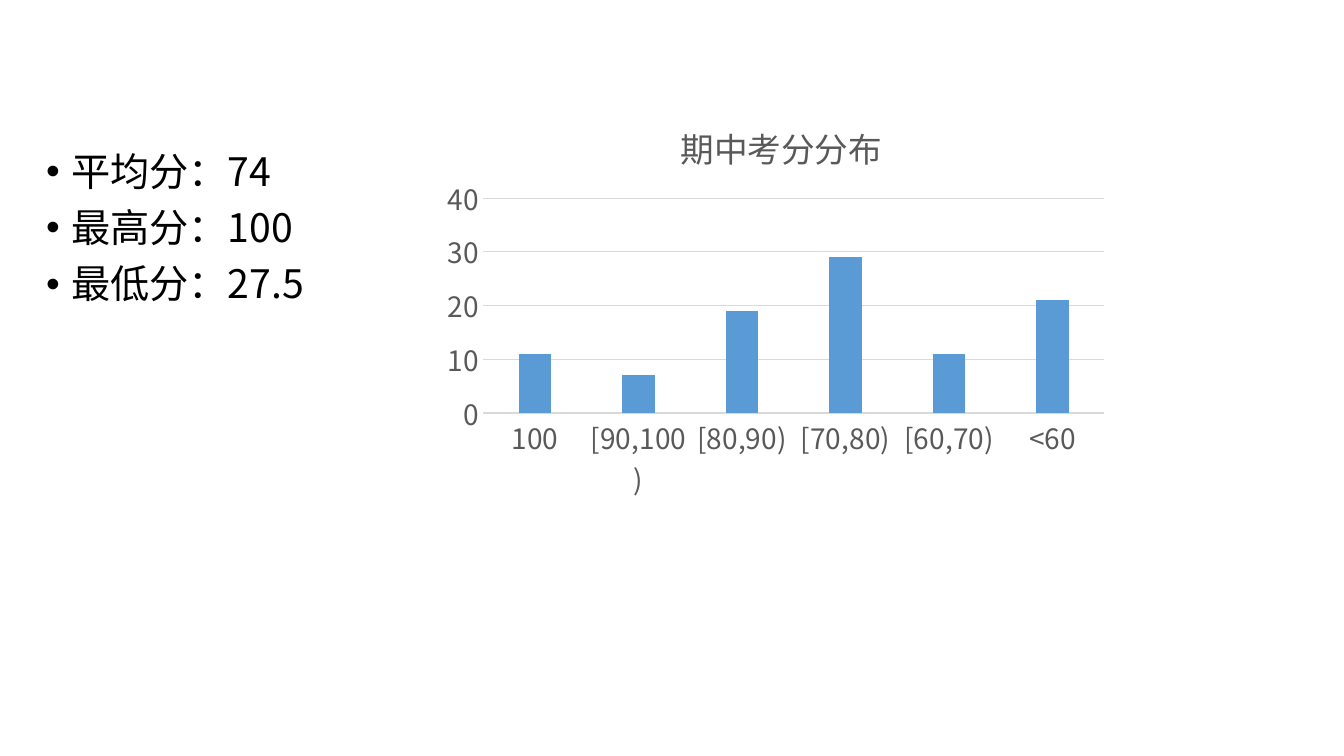
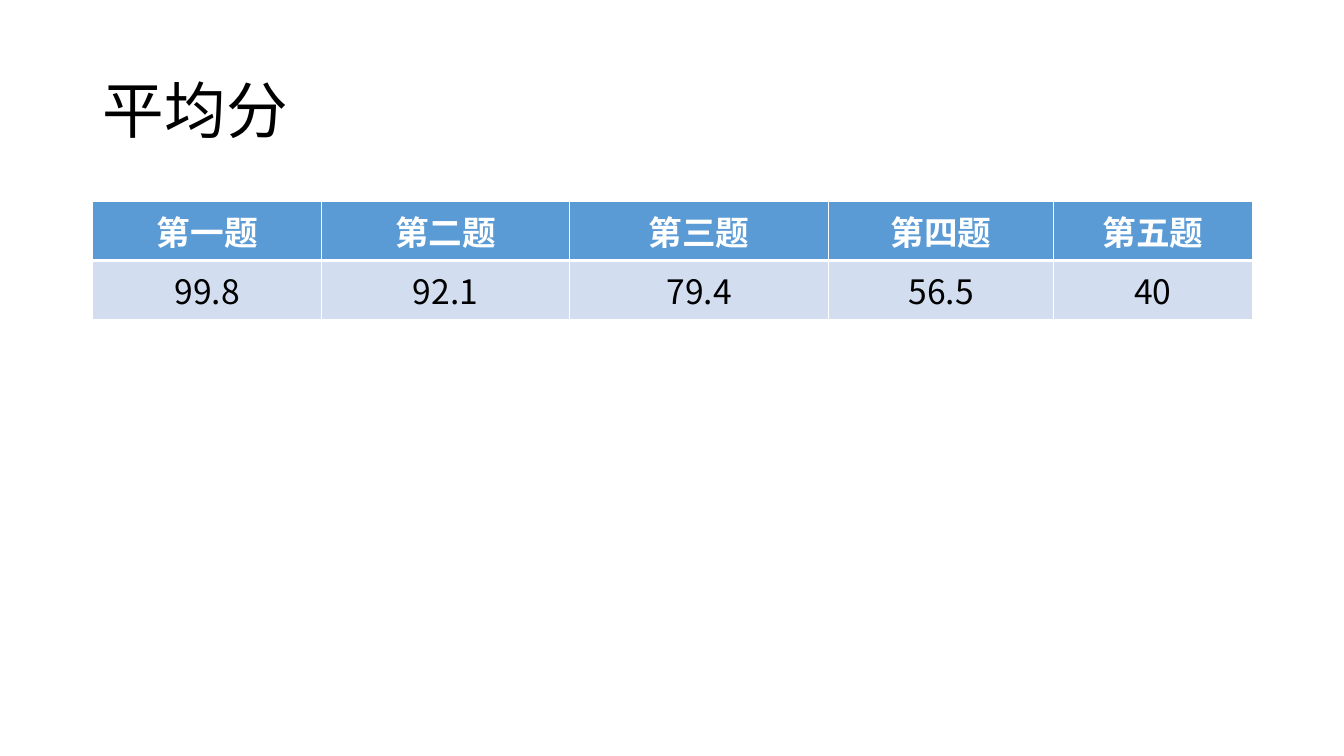
"""Build two slides on exam scores: a distribution chart and a table of averages."""
from typing import NamedTuple

from lxml.etree import SubElement
from pptx import Presentation
from pptx.chart.data import CategoryChartData
from pptx.dml.color import RGBColor
from pptx.enum.chart import XL_CHART_TYPE as ChartType, XL_TICK_MARK as Tick
from pptx.enum.text import MSO_ANCHOR as Anchor, PP_ALIGN as Align
from pptx.oxml import parse_xml
from pptx.oxml.ns import nsdecls, qn
from pptx.util import Inches, Pt

FONT = "Noto Sans CJK SC"
COLORS = {
    "text": "000000",
    "white": "FFFFFF",
    "accent": "5B9BD5",
    "band": "D2DEEF",
    "label": "595959",
    "grid": "D9D9D9",
}


class Question(NamedTuple):
    name: str
    average: str
    width: float


class ScoreBand(NamedTuple):
    label: str
    count: int


QUESTIONS = [
    Question("第一题", "99.8", 2.27),
    Question("第二题", "92.1", 2.46),
    Question("第三题", "79.4", 2.57),
    Question("第四题", "56.5", 2.23),
    Question("第五题", "40", 1.97),
]
BANDS = [
    ScoreBand("100", 11),
    ScoreBand("[90,100)", 7),
    ScoreBand("[80,90)", 19),
    ScoreBand("[70,80)", 29),
    ScoreBand("[60,70)", 11),
    ScoreBand("<60", 21),
]
SUMMARY = ["平均分：74", "最高分：100", "最低分：27.5"]


def rgb(name: str) -> RGBColor:
    return RGBColor.from_string(COLORS[name])


def style_font(font, size: float, color: str, bold: bool = False) -> None:
    font.name, font.size, font.bold = FONT, Pt(size), bold
    font.color.rgb = rgb(color)


def add_run(p, text: str, size: float, color: str, bold: bool = False) -> None:
    r = p.add_run()
    r.text = text
    style_font(r.font, size, color, bold)
    SubElement(r._r.get_or_add_rPr(), qn("a:ea"), typeface=FONT)


def place(sp, left: float, top: float, width: float, height: float) -> None:
    sp.left, sp.top = Inches(left), Inches(top)
    sp.width, sp.height = Inches(width), Inches(height)


def add_title(s, text: str) -> None:
    sp = s.shapes.title
    place(sp, 0.92, 0.4, 11.5, 1.45)
    tf = sp.text_frame
    tf.vertical_anchor = Anchor.MIDDLE
    p = tf.paragraphs[0]
    p.alignment, p.line_spacing = Align.LEFT, 0.9
    add_run(p, text, 44, "text")


def add_summary(s, lines: list[str]) -> None:
    sp = s.shapes.add_textbox(Inches(0.36), Inches(1.46), Inches(3.56), Inches(2.62))
    tf = sp.text_frame
    tf.word_wrap = True
    for i, line in enumerate(lines):
        p = tf.add_paragraph() if i else tf.paragraphs[0]
        pPr = p._p.get_or_add_pPr()
        pPr.set("marL", str(Inches(0.25)))
        pPr.set("indent", str(Inches(-0.25)))
        SubElement(pPr, qn("a:buFont"), typeface="Arial")
        SubElement(pPr, qn("a:buChar"), char="•")
        p.line_spacing = 0.9
        p.space_before = Pt(10 if i else 0)
        add_run(p, line, 28, "text")


def set_layout(parent, index: int, inner: bool = False, **fractions: float) -> None:
    for old in parent.findall(qn("c:layout")):
        parent.remove(old)
    target = '<c:layoutTarget val="inner"/>' if inner else ""
    modes = "".join(f'<c:{k}Mode val="edge"/>' for k in "xy")
    values = "".join(f'<c:{k} val="{v}"/>' for k, v in fractions.items())
    parent.insert(index, parse_xml(
        f'<c:layout {nsdecls("c")}><c:manualLayout>{target}{modes}{values}'
        "</c:manualLayout></c:layout>"))


def add_distribution(s, bands: list[ScoreBand]) -> None:
    data = CategoryChartData()
    data.categories = [b.label for b in bands]
    data.add_series("Series 1", [b.count for b in bands])
    chart = s.shapes.add_chart(
        ChartType.COLUMN_CLUSTERED, Inches(4.32), Inches(0.88),
        Inches(6.77), Inches(4.18), data).chart
    style_font(chart.font, 20, "text")
    chart.has_legend = False

    title = chart.chart_title
    add_run(title.text_frame.paragraphs[0], "期中考分分布", 24, "label")
    set_layout(title.element, 1, x=0.35, y=0.06)
    set_layout(chart.element.find(".//" + qn("c:plotArea")), 0, True,
               x=0.07, y=0.26, w=0.91, h=0.51)

    plot = chart.plots[0]
    plot.vary_by_categories = False
    plot.gap_width, plot.overlap = 219, -27
    fill = plot.series[0].format.fill
    fill.solid()
    fill.fore_color.rgb = rgb("accent")

    cat, val = chart.category_axis, chart.value_axis
    for axis in (cat, val):
        axis.major_tick_mark = axis.minor_tick_mark = Tick.NONE
        style_font(axis.tick_labels.font, 20, "label")
    val.minimum_scale, val.maximum_scale, val.major_unit = 0, 40, 10
    val.format.line.fill.background()
    for line in (cat.format.line, val.major_gridlines.format.line):
        line.color.rgb = rgb("grid")
        line.width = Pt(0.75)


def set_borders(cell, bottom: float) -> None:
    tcPr = cell._tc.get_or_add_tcPr()
    widths = {"lnL": 1, "lnR": 1, "lnT": 1, "lnB": bottom}
    for i, (side, width) in enumerate(widths.items()):
        tcPr.insert(i, parse_xml(
            f'<a:{side} {nsdecls("a")} w="{Pt(width)}"><a:solidFill>'
            f'<a:srgbClr val="{COLORS["white"]}"/></a:solidFill></a:{side}>'))


def fill_cell(cell, text: str, header: bool) -> None:
    cell.fill.solid()
    cell.fill.fore_color.rgb = rgb("accent" if header else "band")
    set_borders(cell, 3 if header else 1)
    p = cell.text_frame.paragraphs[0]
    p.alignment = Align.CENTER
    add_run(p, text, 24, "white" if header else "text", header)


def add_averages(s, questions: list[Question]) -> None:
    table = s.shapes.add_table(
        2, len(questions), Inches(0.92), Inches(2), Inches(11.5), Inches(1.16)).table
    table.horz_banding = False
    for row in table.rows:
        row.height = Inches(0.58)
    for col, q in enumerate(questions):
        table.columns[col].width = Inches(q.width)
        fill_cell(table.cell(0, col), q.name, True)
        fill_cell(table.cell(1, col), q.average, False)


def main() -> None:
    prs = Presentation()
    prs.slide_width, prs.slide_height = Inches(13.33), Inches(7.5)
    title_only, blank = prs.slide_layouts[5], prs.slide_layouts[6]

    s = prs.slides.add_slide(blank)
    add_summary(s, SUMMARY)
    add_distribution(s, BANDS)

    s = prs.slides.add_slide(title_only)
    add_title(s, "平均分")
    add_averages(s, QUESTIONS)

    prs.save("out.pptx")


if __name__ == "__main__":
    main()
